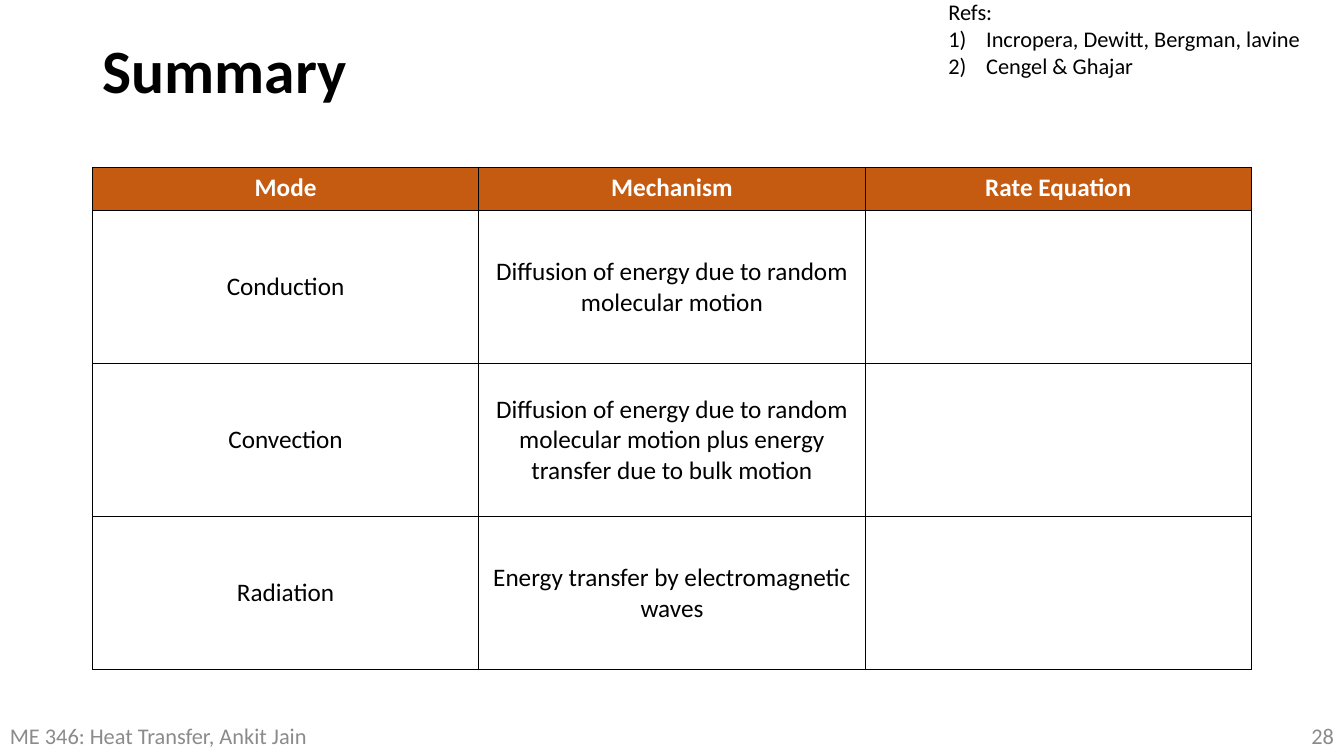
import pptx
import pptx.dml.color
import pptx.enum.text
import pptx.oxml.ns
import pptx.util
from lxml import etree

Pt = pptx.util.Pt
ALIGN = pptx.enum.text.PP_ALIGN
ANCHOR = pptx.enum.text.MSO_ANCHOR
COLORS = {"ink": "000000", "paper": "FFFFFF", "header": "C55A11", "footer": "8B8B8B"}
MODES = [
    ("Mode", "Mechanism", "Rate Equation"),
    ("Conduction", "Diffusion of energy due to random molecular motion", ""),
    ("Convection", "Diffusion of energy due to random molecular motion plus energy "
                   "transfer due to bulk motion", ""),
    ("Radiation", "Energy transfer by electromagnetic waves", ""),
]


def rgb(name):
    """Return the palette colour of the given name."""
    return pptx.dml.color.RGBColor.from_string(COLORS[name])


def add_xml(parent, tag, **attributes):
    """Append a DrawingML element and return it."""
    return etree.SubElement(parent, pptx.oxml.ns.qn(tag), attributes)


def write(paragraph, text, size=16, color="ink", bold=False, align=ALIGN.LEFT, spacing=None):
    """Fill a paragraph with formatted text."""
    run = paragraph.add_run()
    run.text = text
    paragraph.alignment = align
    paragraph.line_spacing = spacing
    run.font.name = "Calibri"
    run.font.size = Pt(size)
    run.font.bold = bold
    run.font.color.rgb = rgb(color)


def add_frame(slide, box, wrap=True, anchor=ANCHOR.MIDDLE):
    """Add a text box and return its text frame."""
    frame = slide.shapes.add_textbox(*map(Pt, box)).text_frame
    frame.word_wrap = wrap
    frame.vertical_anchor = anchor
    return frame


def add_title(slide, box, text):
    """Place and format the title placeholder."""
    title = slide.shapes.title
    title.left, title.top, title.width, title.height = map(Pt, box)
    title.text_frame.vertical_anchor = ANCHOR.MIDDLE
    write(title.text_frame.paragraphs[0], text, size=44, bold=True, spacing=0.9)


def add_references(slide, box, heading, sources):
    """Add a heading with a numbered list of sources."""
    frame = add_frame(slide, box, wrap=False, anchor=ANCHOR.TOP)
    write(frame.paragraphs[0], heading)
    for source in sources:
        entry = frame.add_paragraph()
        properties = entry._p.get_or_add_pPr()
        properties.set("marL", str(Pt(27)))
        properties.set("indent", str(-Pt(27)))
        add_xml(properties, "a:buFont", typeface="+mj-lt")
        add_xml(properties, "a:buAutoNum", type="arabicParenR")
        write(entry, source)


def add_borders(cell):
    """Draw a thin line on all four sides of a cell."""
    properties = cell._tc.get_or_add_tcPr()
    for side in "LRTB":
        line = add_xml(properties, f"a:ln{side}", w=str(Pt(0.96)))
        add_xml(add_xml(line, "a:solidFill"), "a:srgbClr", val=COLORS["ink"])


def add_modes_table(slide, box, rows, header_height):
    """Add the table of heat transfer modes."""
    left, top, width, height = box
    table = slide.shapes.add_table(len(rows), len(rows[0]), *map(Pt, box)).table
    table.horz_banding = False
    table.first_row = False
    for column in table.columns:
        column.width = Pt(width / len(rows[0]))
    for index, texts in enumerate(rows):
        is_header = index == 0
        body_height = (height - header_height) / (len(rows) - 1)
        table.rows[index].height = Pt(header_height if is_header else body_height)
        for cell, text in zip(table.rows[index].cells, texts):
            add_borders(cell)
            if is_header:
                cell.fill.solid()
                cell.fill.fore_color.rgb = rgb("header")
            else:
                cell.fill.background()
            cell.vertical_anchor = ANCHOR.TOP if is_header else ANCHOR.MIDDLE
            if text:
                write(cell.text_frame.paragraphs[0], text, size=18, bold=is_header,
                      color="paper" if is_header else "ink", align=ALIGN.CENTER)


def add_footer(slide, box, course, number):
    """Add the course name at the left and the page number at the right."""
    left, top, width, height = box
    number_width = 216
    course_frame = add_frame(slide, (left, top, 501, height))
    write(course_frame.paragraphs[0], course, color="footer")
    number_frame = add_frame(slide, (left + width - number_width, top, number_width, height))
    write(number_frame.paragraphs[0], number, color="footer", align=ALIGN.RIGHT)


def main():
    """Build the summary slide and save it."""
    deck = pptx.Presentation()
    deck.slide_width, deck.slide_height = Pt(960), Pt(540)
    slide = deck.slides.add_slide(deck.slide_layouts[5])
    add_title(slide, (66, 0, 828, 104.4), "Summary")
    add_modes_table(slide, (66, 119.5, 828, 359), MODES, header_height=31)
    add_references(slide, (670.3, -5, 301.7, 65), "Refs:",
                   ["Incropera, Dewitt, Bergman, lavine", "Cengel & Ghajar"])
    add_footer(slide, (0, 511.2, 960, 28.8), "ME 346: Heat Transfer, Ankit Jain", "28")
    deck.save("out.pptx")


if __name__ == "__main__":
    main()
